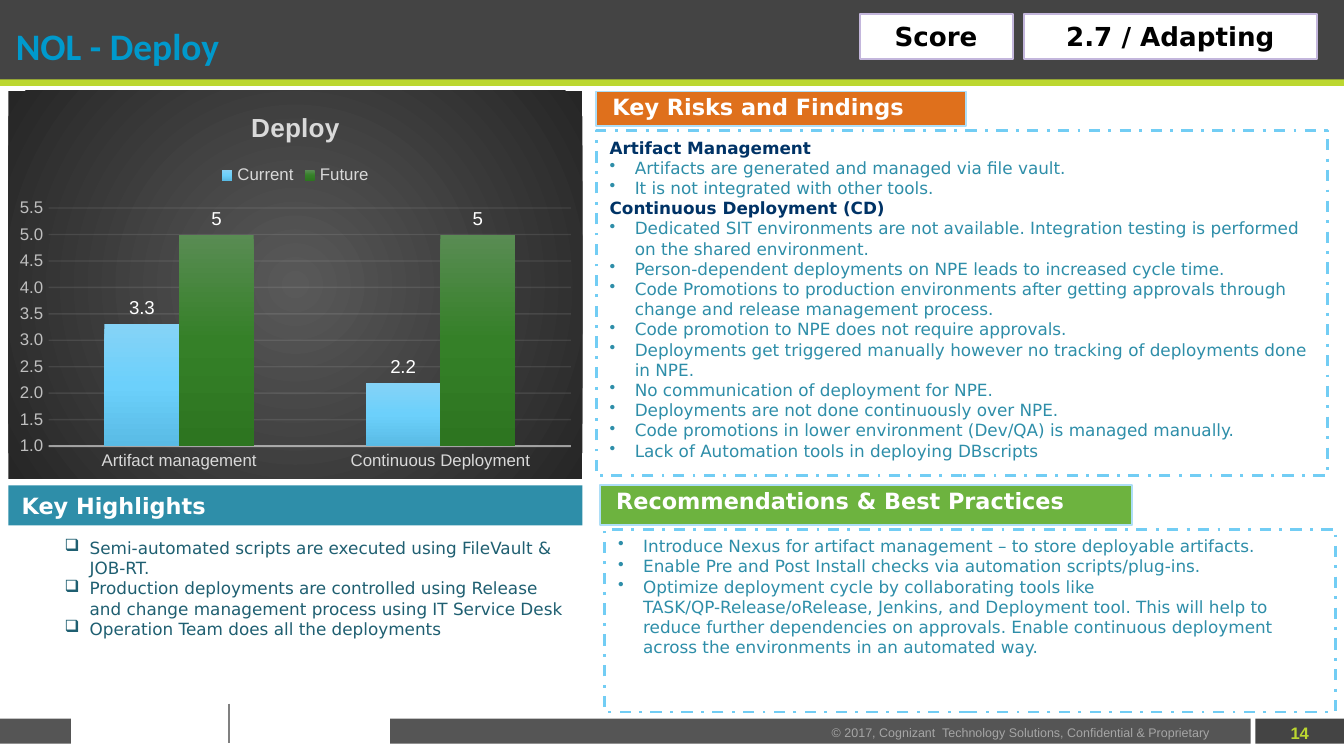
from lxml.etree import SubElement
from pptx import Presentation
from pptx.chart.data import CategoryChartData
from pptx.dml.color import RGBColor
from pptx.enum.chart import XL_CHART_TYPE, XL_LABEL_POSITION, XL_LEGEND_POSITION, XL_TICK_MARK
from pptx.enum.dml import MSO_LINE
from pptx.enum.shapes import MSO_CONNECTOR, MSO_SHAPE
from pptx.enum.text import MSO_ANCHOR, MSO_AUTO_SIZE, PP_ALIGN
from pptx.oxml import parse_xml
from pptx.oxml.ns import nsdecls, qn
from pptx.util import Pt

COLORS = {
    "dark": "444444", "footer": "555555", "lime": "BCD730", "gray": "A6A6A6",
    "divider": "808080", "title": "0099CC", "white": "FFFFFF", "black": "000000",
    "navy": "003366", "teal": "2E8EA9", "deep teal": "1F5F71", "sky": "72CDF4",
    "pale sky": "ADDEF7", "lilac": "C3B6DC", "orange": "DF701C", "green": "6DB33F",
    "chart text": "D9D9D9", "scale text": "BFBFBF", "chart line": "F2F2F2",
}
RGB = {name: RGBColor.from_string(value) for name, value in COLORS.items()}
SANS = "DejaVu Sans"


def add_box(at, lines=(), fill=None, line=None, dashed=False, size=9, color="white",
            bold=False, font=SANS, align=PP_ALIGN.LEFT, anchor=MSO_ANCHOR.TOP, wrap=True):
    place = [Pt(length) for length in at]
    if fill:
        box = slide.shapes.add_shape(MSO_SHAPE.RECTANGLE, *place)
        box.shadow.inherit = False
        box.fill.solid()
        box.fill.fore_color.rgb = RGB[fill]
        if line:
            box.line.color.rgb = RGB[line]
            box.line.width = Pt(1.5 if dashed else 1)
            if dashed:
                box.line.dash_style = MSO_LINE.DASH_DOT
        else:
            box.line.fill.background()
    else:
        box = slide.shapes.add_textbox(*place)
    frame = box.text_frame
    frame.word_wrap = wrap
    frame.vertical_anchor = anchor
    for number, (bullet, text) in enumerate(lines):
        paragraph = frame.add_paragraph() if number else frame.paragraphs[0]
        paragraph.text = text
        paragraph.alignment = align
        if bullet:
            props = paragraph._p.get_or_add_pPr()
            props.set("marL", str(Pt(13.5)))
            props.set("indent", str(-Pt(13.5)))
            SubElement(props, qn("a:buChar")).set("char", bullet)
        heading = dashed and not bullet
        paragraph.font.name = font
        paragraph.font.size = Pt(size)
        paragraph.font.bold = bold or heading
        paragraph.font.color.rgb = RGB["navy" if heading else color]


def gradient(stops, direction):
    marks = "".join(f'<a:gs pos="{pos * 1000}"><a:srgbClr val="{value}"/></a:gs>'
                    for pos, value in stops)
    return parse_xml(f'<a:gradFill {nsdecls("a")} rotWithShape="1">'
                     f'<a:gsLst>{marks}</a:gsLst>{direction}</a:gradFill>')


deck = Presentation()
deck.slide_width, deck.slide_height = Pt(720), Pt(405)
slide = deck.slides.add_slide(deck.slide_layouts[5])

for at, fill in [
    ((672.5, 385, 47.5, 13.5), "dark"),
    ((209, 385, 461, 13.5), "footer"),
    ((0, 385, 38, 13.5), "footer"),
    ((0, 0, 720, 43), "dark"),
    ((0, 42.5, 720, 3.5), "lime"),
]:
    add_box(at, fill=fill)
add_box((680.5, 384.5, 31.5, 16.5), [("", "14")], size=8.9, color="lime", bold=True,
        font="Arial", align=PP_ALIGN.CENTER, anchor=MSO_ANCHOR.MIDDLE, wrap=False)
add_box((438.5, 386, 220.5, 13),
        [("", "© 2017, Cognizant  Technology Solutions, Confidential & Proprietary")],
        size=6.7, color="gray", font="Arial", anchor=MSO_ANCHOR.MIDDLE, wrap=False)
divider = slide.shapes.add_connector(MSO_CONNECTOR.STRAIGHT, Pt(122.5), Pt(377), Pt(122.5), Pt(398))
divider.line.color.rgb = RGB["divider"]
divider.line.width = Pt(1)
SubElement(divider._element.spPr, qn("a:effectLst"))

title = slide.shapes.title
title.left, title.top, title.width, title.height = Pt(8.5), Pt(6.5), Pt(667), Pt(36)
title.element.getparent().append(title.element)
heading = title.text_frame
heading.text = "NOL - Deploy"
heading.auto_size = MSO_AUTO_SIZE.NONE
heading.vertical_anchor = MSO_ANCHOR.MIDDLE
heading.margin_left = heading.margin_right = 0
heading.margin_top = heading.margin_bottom = Pt(5)
heading.paragraphs[0].alignment = PP_ALIGN.LEFT
title_font = heading.paragraphs[0].font
title_font.name, title_font.size, title_font.bold = "Calibri", Pt(20), True
title_font.color.rgb = RGB["title"]

for at, text in [((460.5, 7.5, 82, 24), "Score"), ((548.5, 7.5, 157, 24), "2.7 / Adapting")]:
    add_box(at, [("", text)], fill="white", line="lilac", size=14, color="black",
            bold=True, align=PP_ALIGN.CENTER, anchor=MSO_ANCHOR.MIDDLE)

scores = CategoryChartData()
scores.categories = ["Artifact management", "Continuous Deployment"]
scores.add_series("Current", (3.3, 2.2))
scores.add_series("Future", (5, 5))
chart = slide.shapes.add_chart(XL_CHART_TYPE.COLUMN_CLUSTERED, Pt(4.5), Pt(48.5),
                               Pt(307.5), Pt(208), scores).chart
chart.font.name, chart.font.size = "Arial", Pt(10)
chart.has_title = True
chart.chart_title.include_in_layout = False
chart.chart_title.text_frame.text = "Deploy"
chart_heading = chart.chart_title.text_frame.paragraphs[0].font
chart_heading.name, chart_heading.size, chart_heading.bold = "Arial", Pt(14), True
chart_heading.color.rgb = RGB["chart text"]
chart.has_legend = True
chart.legend.position = XL_LEGEND_POSITION.TOP
chart.legend.include_in_layout = False

categories, scale = chart.category_axis, chart.value_axis
for part, color in [(chart.legend, "chart text"), (categories.tick_labels, "chart text"),
                    (scale.tick_labels, "scale text")]:
    part.font.name, part.font.size = "Arial", Pt(9)
    part.font.color.rgb = RGB[color]
for axis in (categories, scale):
    axis.major_tick_mark = axis.minor_tick_mark = XL_TICK_MARK.NONE
scale.minimum_scale, scale.maximum_scale, scale.major_unit = 1, 5.5, 0.5
scale.tick_labels.number_format = "0.0"
scale.tick_labels.number_format_is_linked = False
scale.format.line.fill.background()
for line, width in [(categories.format.line, 1), (scale.major_gridlines.format.line, 0.75)]:
    line.color.rgb = RGB["chart line"]
    line.width = Pt(width)
for owner, percent in [("c:catAx", 54), ("c:majorGridlines", 10)]:
    tint = chart._chartSpace.xpath(f".//{owner}/c:spPr//a:srgbClr")[0]
    SubElement(tint, qn("a:alpha")).set("val", str(percent * 1000))

backdrop = parse_xml(f'<c:spPr {nsdecls("c", "a")}><a:ln><a:noFill/></a:ln></c:spPr>')
backdrop.insert(0, gradient(
    [(0, "595959"), (100, "262626")],
    '<a:path path="circle"><a:fillToRect l="50000" t="50000" r="50000" b="50000"/></a:path>'))
chart._chartSpace.find(qn("c:chart")).addnext(backdrop)

plot = chart.plots[0]
plot.gap_width, plot.overlap, plot.vary_by_categories = 150, 0, False
for series, shades, number_format in zip(
        plot.series,
        [("85D3F7", "6CD0FB", "59BBE5"), ("598C53", "358028", "2D7520")],
        ["0.0", "General"]):
    series._element.get_or_add_spPr().insert(
        0, gradient(zip((0, 50, 100), shades), '<a:lin ang="5400000" scaled="0"/>'))
    labels = series.data_labels
    labels.show_value = True
    labels.position = XL_LABEL_POSITION.OUTSIDE_END
    labels.number_format, labels.number_format_is_linked = number_format, False
    labels.font.name, labels.font.size = "Arial", Pt(10)
    labels.font.color.rgb = RGB["white"]

risks = [
    ("", "Artifact Management"),
    ("•", "Artifacts are generated and managed via file vault."),
    ("•", "It is not integrated with other tools."),
    ("", "Continuous Deployment (CD)"),
    ("•", "Dedicated SIT environments are not available. Integration testing is performed on the shared environment."),
    ("•", "Person-dependent deployments on NPE leads to increased cycle time."),
    ("•", "Code Promotions to production environments after getting approvals through change and release management process."),
    ("•", "Code promotion to NPE does not require approvals."),
    ("•", "Deployments get triggered manually however no tracking of deployments done in NPE."),
    ("•", "No communication of deployment for NPE."),
    ("•", "Deployments are not done continuously over NPE."),
    ("•", "Code promotions in lower environment (Dev/QA) is managed manually."),
    ("•", "Lack of Automation tools in deploying DBscripts"),
]
highlights = [
    ("❑", "Semi-automated scripts are executed using FileVault & JOB-RT."),
    ("❑", "Production deployments are controlled using Release and change management process using IT Service Desk"),
    ("❑", "Operation Team does all the deployments"),
]
practices = [
    ("•", "Introduce Nexus for artifact management – to store deployable artifacts."),
    ("•", "Enable Pre and Post Install checks via automation scripts/plug-ins."),
    ("•", "Optimize deployment cycle by collaborating tools like TASK/QP-Release/oRelease, Jenkins, and Deployment tool. This will help to reduce further dependencies on approvals. Enable continuous deployment across the environments in an automated way."),
]

add_box((4.5, 260, 307.5, 21.5), [("", "Key Highlights")], fill="teal", size=12, bold=True)
add_box((27.5, 284.5, 285, 72.5), highlights, color="deep teal")
for banner, fill, label_at, label, body, lines in [
    ((319.5, 49, 198, 18.5), "orange", (321, 46.5, 170.5, 21.5),
     "Key Risks and Findings", (319.5, 70, 391.5, 185), risks),
    ((321.5, 260, 285, 21.5), "green", (323, 257.5, 255.5, 21.5),
     "Recommendations & Best Practices", (324, 283.5, 391.5, 98), practices),
]:
    add_box(body, lines, fill="white", line="sky", dashed=True, color="teal")
    add_box(banner, fill=fill, line="pale sky")
    add_box(label_at, [("", label)], size=12, bold=True, wrap=False)

deck.save("out.pptx")
